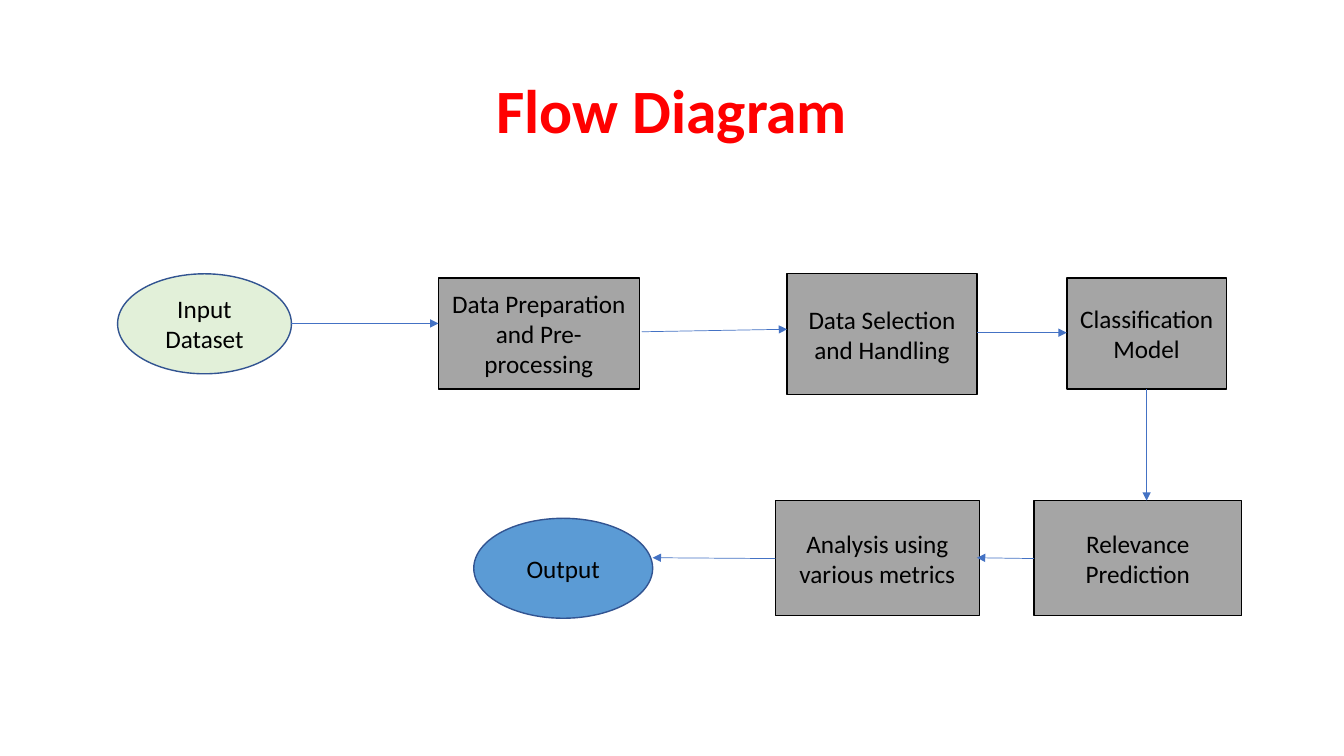
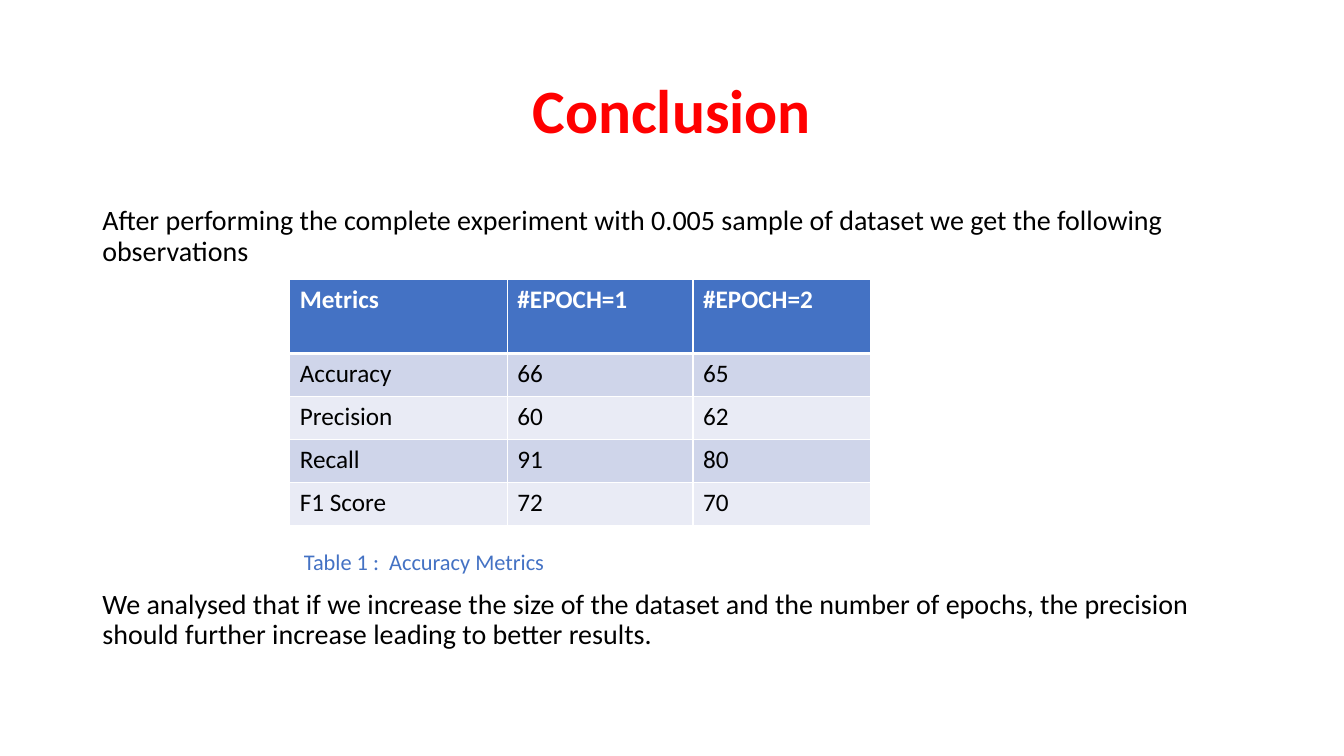
from lxml import etree
from pptx import Presentation
from pptx.dml.color import RGBColor
from pptx.enum.shapes import MSO_CONNECTOR, MSO_SHAPE
from pptx.enum.text import MSO_ANCHOR, PP_ALIGN
from pptx.oxml.ns import qn
from pptx.util import Inches, Pt

BOX = MSO_SHAPE.FLOWCHART_PROCESS
NODE = MSO_SHAPE.FLOWCHART_CONNECTOR
OVAL = MSO_SHAPE.OVAL
LINE = MSO_CONNECTOR.STRAIGHT
MID = MSO_ANCHOR.MIDDLE
TOP = MSO_ANCHOR.TOP
LEFT = PP_ALIGN.LEFT
CENTER = PP_ALIGN.CENTER

FONT = "Calibri"
HEX = {
    "red": "FF0000", "black": "000000", "white": "FFFFFF",
    "gray": "A5A5A5", "green": "E2F0D9", "sky": "5B9BD5",
    "blue": "4472C4", "navy": "325491",
    "odd": "CFD5EA", "even": "E9EBF5",
}
RGB = {name: RGBColor.from_string(code) for name, code in HEX.items()}

deck = Presentation()
deck.slide_width = Inches(13.33)
deck.slide_height = Inches(7.5)
COL = deck.slide_width / 160
ROW = deck.slide_height / 90


def place(x, y):
    return round(x * COL), round(y * ROW)


def write(frame, text, size, color, align=LEFT, anchor=TOP, bold=False, space=1.0):
    frame.word_wrap = True
    frame.vertical_anchor = anchor
    frame.text = text
    for para in frame.paragraphs:
        para.alignment = align
        para.line_spacing = space
        para.font.name = FONT
        para.font.size = Pt(size)
        para.font.bold = bold
        para.font.color.rgb = RGB[color]


slides = []
for title in ("Flow Diagram", "Conclusion"):
    slide = deck.slides.add_slide(deck.slide_layouts[6])
    head = slide.shapes.add_textbox(*place(11, 4.8), *place(138, 17.4))
    write(head.text_frame, title, 44, "red", CENTER, MID, True, 0.9)
    slides.append(slide)
flow, close = slides

steps = [
    ("Input Dataset", NODE, "green", "navy", 14, 32.6, 20.7, 11.9),
    ("Data Preparation and Pre-processing", BOX, "gray", "black", 52.2, 33.1, 23.9, 13.2),
    ("Data Selection and Handling", BOX, "gray", "black", 93.7, 32.6, 22.6, 14.4),
    ("Classification Model", BOX, "gray", "black", 127, 33.1, 19, 13.2),
    ("Relevance\nPrediction", BOX, "gray", "black", 123.1, 59.6, 24.7, 13.7),
    ("Analysis using various metrics", BOX, "gray", "black", 92.3, 59.6, 24.3, 13.7),
    ("Output", OVAL, "sky", "navy", 56.4, 61.7, 21.3, 11.9),
]
for text, kind, fill, edge, x, y, wide, high in steps:
    step = flow.shapes.add_shape(kind, *place(x, y), *place(wide, high))
    step.shadow.inherit = False
    step.fill.solid()
    step.fill.fore_color.rgb = RGB[fill]
    step.line.color.rgb = RGB[edge]
    step.line.width = Pt(1)
    write(step.text_frame, text, 18, "black", CENTER, MID)

arrows = [
    (34.7, 38.5, 52.2, 38.5),
    (76.4, 39.5, 93.7, 39.2),
    (116.3, 39.6, 127, 39.6),
    (136.5, 46.3, 136.5, 59.6),
    (123.1, 66.5, 116.3, 66.4),
    (92.3, 66.5, 77.7, 66.4),
]
for x1, y1, x2, y2 in arrows:
    arrow = flow.shapes.add_connector(LINE, *place(x1, y1), *place(x2, y2))
    arrow.line.color.rgb = RGB["blue"]
    arrow.line.width = Pt(0.5)
    etree.SubElement(arrow.line._get_or_add_ln(), qn("a:tailEnd"), type="triangle")
    etree.SubElement(arrow._element.spPr, qn("a:effectLst"))

notes = [
    ("After performing the complete experiment with 0.005 sample of dataset "
     "we get the following observations", 20, "black", 11, 24, 138, 8),
    ("Table 1 :  Accuracy Metrics", 16, "blue", 35, 65, 60, 4),
    ("We analysed that if we increase the size of the dataset and the number of "
     "epochs, the precision should further increase leading to better results.",
     20, "black", 11, 69.7, 138, 8),
]
for text, size, color, x, y, wide, high in notes:
    note = close.shapes.add_textbox(*place(x, y), *place(wide, high))
    write(note.text_frame, text, size, color, space=0.9)

data = [
    ("Metrics", "#EPOCH=1", "#EPOCH=2"),
    ("Accuracy", "66", "65"),
    ("Precision", "60", "62"),
    ("Recall", "91", "80"),
    ("F1 Score", "72", "70"),
]
table = close.shapes.add_table(
    len(data), len(data[0]), *place(34.5, 33.3), *place(69.2, 29.3)).table
for col, wide in zip(table.columns, (25.9, 22.1, 21.2)):
    col.width = round(wide * COL)
for i, line in enumerate(data):
    first = i == 0
    table.rows[i].height = round((8.8 if first else 5.12) * ROW)
    shade = "blue" if first else ("even", "odd")[i % 2]
    for j, text in enumerate(line):
        cell = table.cell(i, j)
        write(cell.text_frame, text, 18, "white" if first else "black", bold=first)
        props = cell._tc.get_or_add_tcPr()
        for side in "LRTB":
            thick = (first and side == "B") or (i == 1 and side == "T")
            edge = etree.SubElement(
                props, qn("a:ln" + side), w=str(Pt(3 if thick else 1)))
            fill = etree.SubElement(edge, qn("a:solidFill"))
            etree.SubElement(fill, qn("a:srgbClr"), val=HEX["white"])
        cell.fill.solid()
        cell.fill.fore_color.rgb = RGB[shade]

deck.save("out.pptx")
